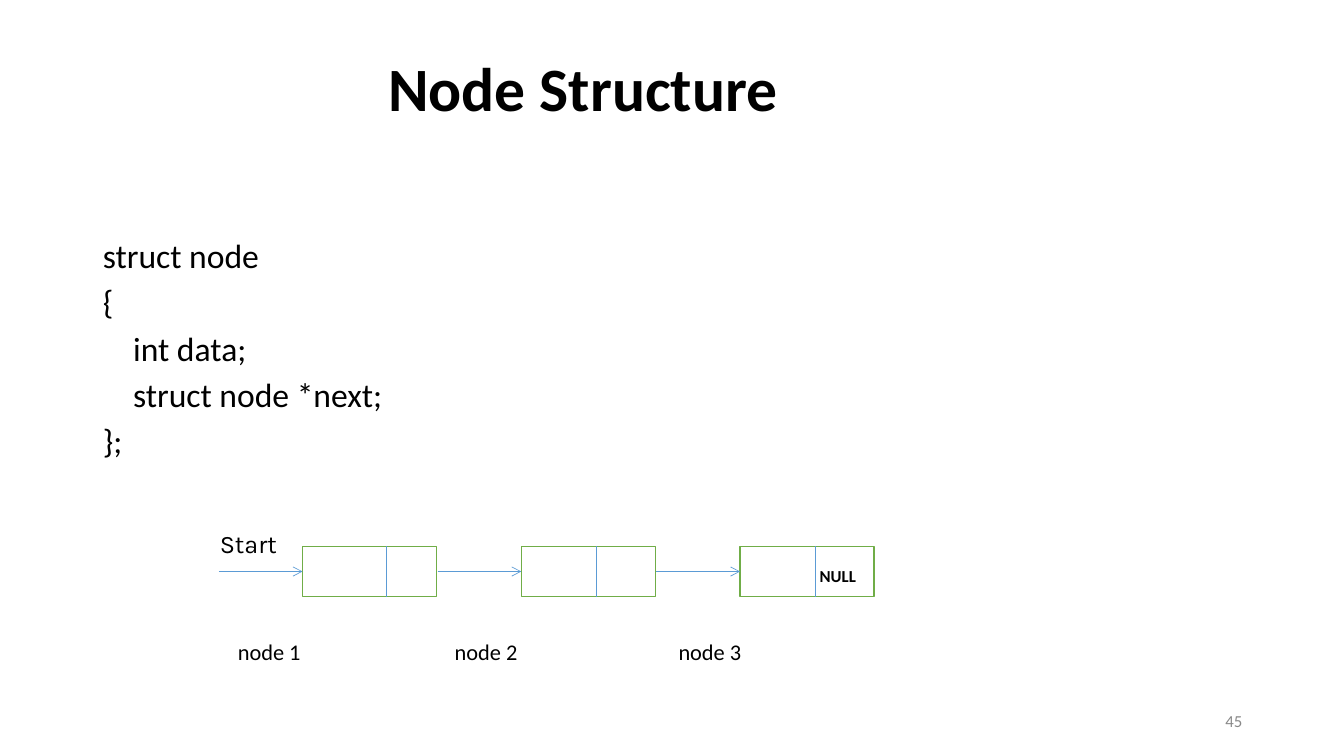
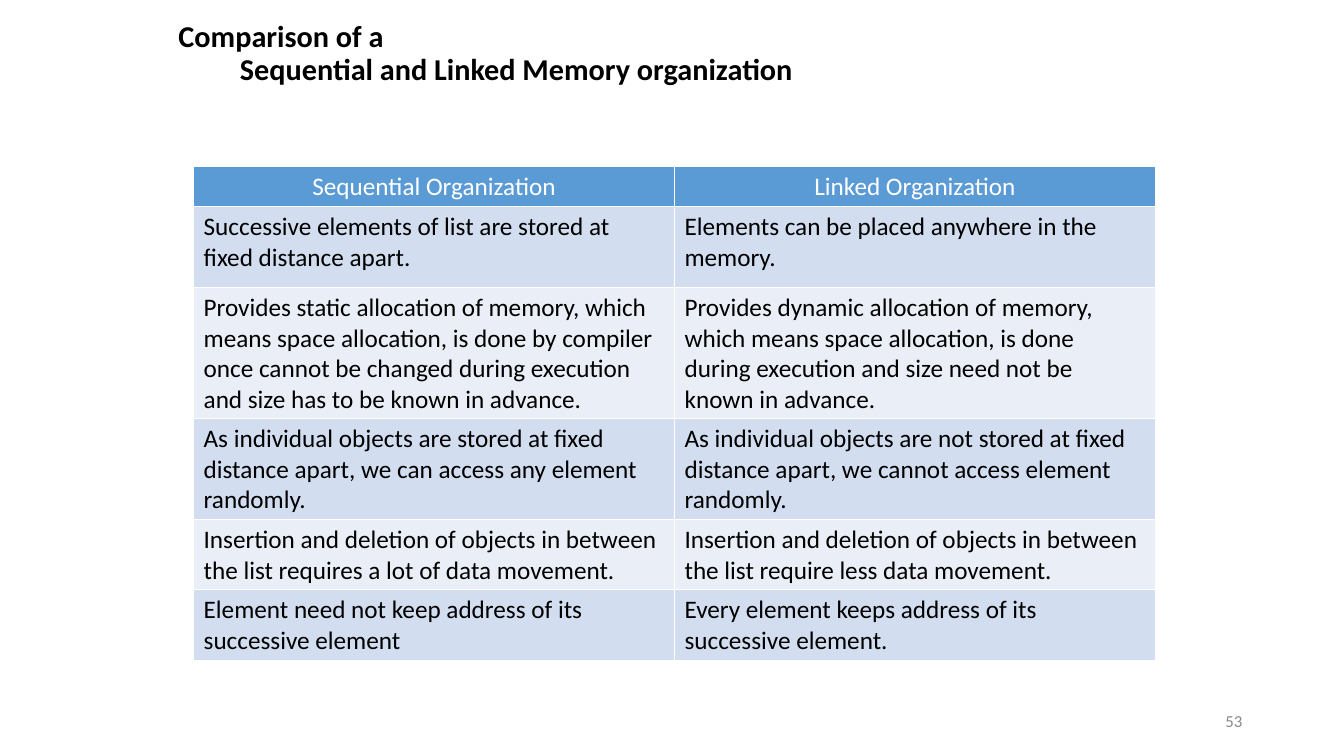
from lxml.etree import SubElement
from pptx import Presentation
from pptx.dml.color import RGBColor
from pptx.enum.shapes import MSO_CONNECTOR, MSO_SHAPE
from pptx.enum.text import MSO_ANCHOR, MSO_AUTO_SIZE, PP_ALIGN
from pptx.oxml.ns import qn
from pptx.util import Inches, Pt

COLORS = {"text": "000000", "muted": "898989", "white": "FFFFFF", "node": "70AD47",
          "link": "5B9BD5", "header": "5B9BD5", "band": "D2DEEF", "light": "EAEFF7"}
COLORS = {name: RGBColor.from_string(value) for name, value in COLORS.items()}
TITLE_STYLE = {"bold": True, "line_spacing": 0.9}
NO_INSETS = {"margin_left": 0, "margin_right": 0, "margin_top": 0, "margin_bottom": 0}


def write(frame, lines, size, color="text", font="Calibri", bold=False, indents=None, **paragraph_format):
    """Fill a text frame with one paragraph per line, without bullets."""
    frame.text = "\n".join(lines)
    for index, paragraph in enumerate(frame.paragraphs):
        properties = paragraph._p.get_or_add_pPr()
        properties.set("marL", str(Inches(indents[index] if indents else 0)))
        properties.set("indent", "0")
        SubElement(properties, qn("a:buNone"))
        for name, value in {"alignment": PP_ALIGN.LEFT, **paragraph_format}.items():
            setattr(paragraph, name, value)
        for name, value in {"name": font, "size": Pt(size), "bold": bold}.items():
            setattr(paragraph.font, name, value)
        paragraph.font.color.rgb = COLORS[color]
    frame.paragraphs[0].space_before = Pt(0)


def draw_link(slide, start, end, arrow=False):
    points = [Inches(value) for value in (*start, *end)]
    link = slide.shapes.add_connector(MSO_CONNECTOR.STRAIGHT, *points)
    link.line.color.rgb = COLORS["link"]
    link.line.width = Pt(0.5)
    if arrow:
        SubElement(link.line._get_or_add_ln(), qn("a:tailEnd"), type="arrow")
    SubElement(link._element.spPr, qn("a:effectLst"))


deck = Presentation()
deck.slide_width, deck.slide_height = Inches(13.33), Inches(7.5)

# Titles and page numbers
pages = [
    {"layout": 1, "number": "45", "title": ["Node Structure"], "size": 44,
     "indents": [0], "box": (3.75, 0.28, 7.4, 1.25)},
    {"layout": 5, "number": "53", "size": 21.6, "indents": [0, 0.61], "box": (1.67, 0.3, 9.84, 0.48),
     "title": ["Comparison of a", "Sequential and Linked Memory organization"]},
]
for page in pages:
    slide = deck.slides.add_slide(deck.slide_layouts[page["layout"]])
    title = slide.shapes.title
    title.left, title.top, title.width, title.height = map(Inches, page["box"])
    title.text_frame.auto_size = MSO_AUTO_SIZE.NONE
    title.text_frame.vertical_anchor = MSO_ANCHOR.MIDDLE
    write(title.text_frame, page["title"], page["size"], indents=page["indents"], **TITLE_STYLE)
    number = slide.shapes.add_textbox(Inches(9.42), Inches(6.95), Inches(3), Inches(0.4)).text_frame
    number.word_wrap = True
    number.vertical_anchor = MSO_ANCHOR.MIDDLE
    write(number, [page["number"]], 12, "muted", alignment=PP_ALIGN.RIGHT)

structure_slide, comparison_slide = deck.slides

# Node structure: code
code = structure_slide.placeholders[1]
code.left, code.top, code.width, code.height = map(Inches, (0.92, 2.36, 11.5, 2.5))
code.text_frame.auto_size = MSO_AUTO_SIZE.NONE
write(code.text_frame, ["struct node", "{", "int data;", "struct node *next;", "};"], 24,
      indents=[0, 0, 0.3, 0.3, 0], line_spacing=0.8, space_before=Pt(10))

# Node structure: linked nodes
FIRST_NODE, NODE_TOP, PITCH = 3, 5.42, 2.17
NODE_WIDTH, NODE_HEIGHT, ARROW_LENGTH = 1.33, 0.5, 0.83
middle = NODE_TOP + NODE_HEIGHT / 2
for index, divider_offset in enumerate([0.83, 0.75, 0.75]):
    left = FIRST_NODE + index * PITCH
    node = structure_slide.shapes.add_shape(
        MSO_SHAPE.RECTANGLE, Inches(left), Inches(NODE_TOP), Inches(NODE_WIDTH), Inches(NODE_HEIGHT))
    node.shadow.inherit = False
    node.fill.solid()
    node.fill.fore_color.rgb = COLORS["white"]
    node.line.color.rgb = COLORS["node"]
    node.line.width = Pt(1)
    divider = left + divider_offset
    draw_link(structure_slide, (divider, NODE_TOP), (divider, NODE_TOP + NODE_HEIGHT))
    draw_link(structure_slide, (left - ARROW_LENGTH, middle), (left, middle), arrow=True)

null_pointer = node.text_frame
for name, value in {**NO_INSETS, "margin_left": Inches(0.79), "margin_top": Inches(0.08),
                    "vertical_anchor": MSO_ANCHOR.MIDDLE}.items():
    setattr(null_pointer, name, value)
write(null_pointer, ["NULL"], 12, bold=True)

labels = [("Start", 2.18, 5.24, 18, "Karla"), ("node 1", 2.36, 6.31, 16, "Calibri"),
          ("node 2", 4.51, 6.31, 16, "Calibri"), ("node 3", 6.73, 6.31, 16, "Calibri")]
for text, left, top, size, font in labels:
    label = structure_slide.shapes.add_textbox(
        Inches(left), Inches(top), Inches(0.8), Inches(0.3)).text_frame
    for name, value in {**NO_INSETS, "word_wrap": True, "vertical_anchor": MSO_ANCHOR.MIDDLE}.items():
        setattr(label, name, value)
    write(label, [text], size, font=font)

# Comparison table
comparison = [
    ("Sequential Organization", "Linked Organization"),
    ("Successive elements of list are stored at fixed distance apart.",
     "Elements can be placed anywhere in the memory."),
    ("Provides static allocation of memory, which means space allocation, is done by compiler "
     "once cannot be changed during execution and size has to be known in advance.",
     "Provides dynamic allocation of memory, which means space allocation, is done during "
     "execution and size need not be known in advance."),
    ("As individual objects are stored at fixed distance apart, we can access any element randomly.",
     "As individual objects are not stored at fixed distance apart, we cannot access element randomly."),
    ("Insertion and deletion of objects in between the list requires a lot of data movement.",
     "Insertion and deletion of objects in between the list require less data movement."),
    ("Element need not keep address of its successive element",
     "Every element keeps address of its successive element."),
]
row_heights = [0.4, 0.8, 1.3, 1, 0.7, 0.7]
table = comparison_slide.shapes.add_table(
    len(comparison), 2, Inches(1.92), Inches(1.65), Inches(9.54), Inches(sum(row_heights))).table
for row_index, (texts, height) in enumerate(zip(comparison, row_heights)):
    table.rows[row_index].height = Inches(height)
    is_header = row_index == 0
    fill = "header" if is_header else "band" if row_index % 2 else "light"
    for column_index, text in enumerate(texts):
        cell = table.cell(row_index, column_index)
        write(cell.text_frame, [text], 18, "white" if is_header else "text",
              alignment=PP_ALIGN.CENTER if is_header else PP_ALIGN.LEFT)
        cell_properties = cell._tc.get_or_add_tcPr()
        for side in ("lnL", "lnR", "lnT", "lnB"):
            border = SubElement(cell_properties, qn(f"a:{side}"), w=str(Pt(1)))
            border_fill = SubElement(border, qn("a:solidFill"))
            SubElement(border_fill, qn("a:srgbClr"), val=str(COLORS["white"]))
        cell.fill.solid()
        cell.fill.fore_color.rgb = COLORS[fill]

deck.save("out.pptx")
